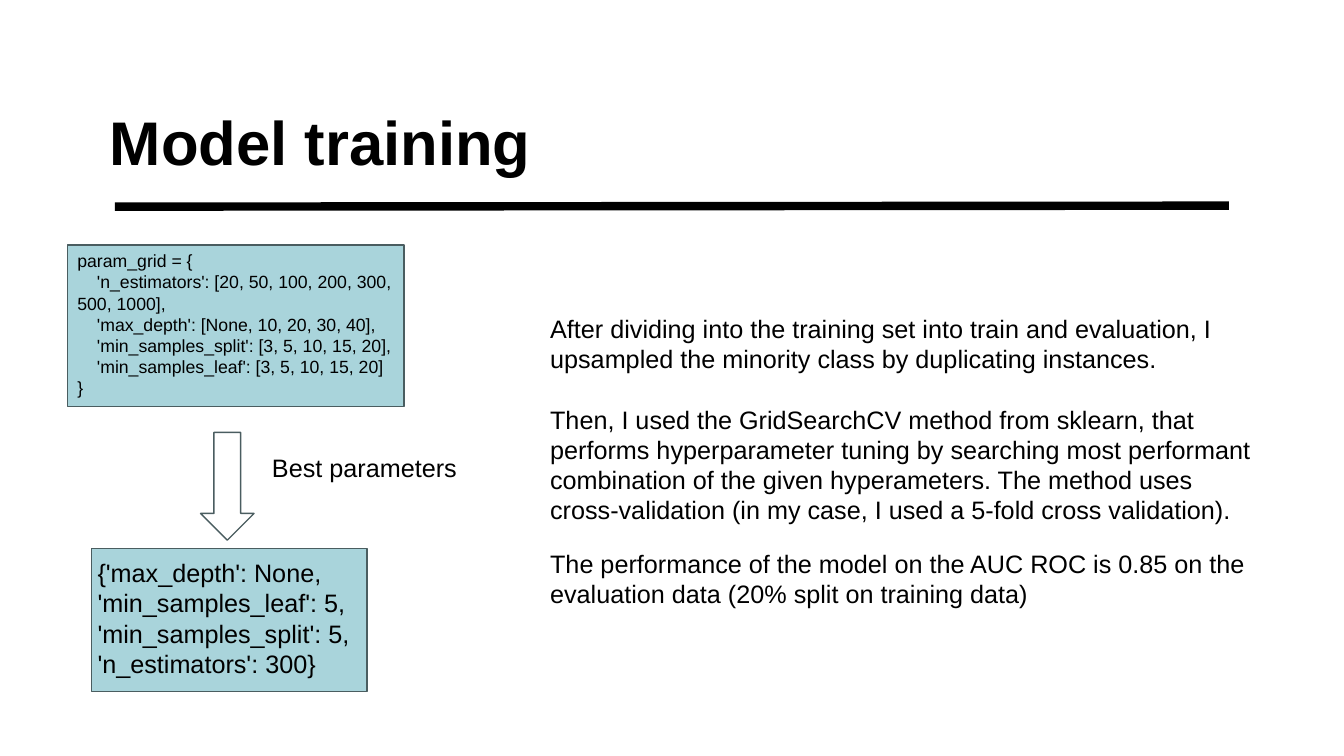
"""Build the model training slide with its parameter grid and best parameters."""
from dataclasses import dataclass

from lxml import etree
from pptx import Presentation
from pptx.dml.color import RGBColor
from pptx.enum.shapes import MSO_CONNECTOR as Connector, MSO_SHAPE as Shape
from pptx.enum.text import MSO_ANCHOR as Anchor, MSO_AUTO_SIZE as AutoSize
from pptx.oxml.ns import qn
from pptx.slide import Slide
from pptx.util import Pt

COLORS = {"ink": "000000", "panel": "A9D4DB", "outline": "4A5D60", "paper": "FFFFFF"}
FONT = "Arial"


@dataclass(frozen=True)
class Frame:
    left: float
    top: float
    width: float
    height: float

    def lengths(self) -> tuple[Pt, Pt, Pt, Pt]:
        return Pt(self.left), Pt(self.top), Pt(self.width), Pt(self.height)


@dataclass(frozen=True)
class Block:
    frame: Frame
    kind: Shape
    fill: str


@dataclass(frozen=True)
class Passage:
    frame: Frame
    paragraphs: tuple[str, ...]
    size: float = 18
    gap: float = 0


BLOCKS = (
    Block(Frame(65.5, 391.7, 196.6, 102.2), Shape.RECTANGLE, "panel"),
    Block(Frame(48.2, 175, 240.5, 115.2), Shape.RECTANGLE, "panel"),
    Block(Frame(143.3, 308.9, 38.2, 77), Shape.DOWN_ARROW, "paper"),
)

PASSAGES = (
    Passage(
        Frame(62.6, 394.6, 199.4, 94.3),
        ("{'max_depth': None, 'min_samples_leaf': 5, 'min_samples_split': 5, 'n_estimators': 300}",),
    ),
    Passage(
        Frame(48.2, 175, 240.5, 114.5),
        (
            "param_grid = {",
            "    'n_estimators': [20, 50, 100, 200, 300, 500, 1000],",
            "    'max_depth': [None, 10, 20, 30, 40],",
            "    'min_samples_split': [3, 5, 10, 15, 20],",
            "    'min_samples_leaf': [3, 5, 10, 15, 20]",
            "}",
        ),
        size=12.6,
    ),
    Passage(
        Frame(385.9, 220.3, 525.6, 159.8),
        (
            "After dividing into the training set into train and evaluation, I upsampled "
            "the minority class by duplicating instances.",
            "Then, I used the GridSearchCV method from sklearn, that performs hyperparameter "
            "tuning by searching most performant combination of the given hyperameters. The "
            "method uses cross-validation (in my case, I used a 5-fold cross validation).",
        ),
        gap=21.5,
    ),
    Passage(Frame(187.2, 319.7, 149.8, 28.8), ("Best parameters",)),
    Passage(
        Frame(385.9, 388.1, 525.6, 51.1),
        (
            "The performance of the model on the AUC ROC is 0.85 on the evaluation data "
            "(20% split on training data)",
        ),
    ),
)


def color(name: str) -> RGBColor:
    return RGBColor.from_string(COLORS[name])


def add_text(
    page: Slide,
    frame: Frame,
    paragraphs: tuple[str, ...],
    *,
    size: float = 18,
    bold: bool = False,
    gap: float = 0,
    spacing: float | None = None,
    anchor: Anchor = Anchor.TOP,
    inset: float | None = None,
    grow: bool = True,
) -> None:
    box = page.shapes.add_textbox(*frame.lengths())
    body = box.text_frame
    body.word_wrap = True
    body.auto_size = AutoSize.SHAPE_TO_FIT_TEXT if grow else AutoSize.NONE
    body.vertical_anchor = anchor
    if inset is not None:
        body.margin_left = body.margin_right = Pt(inset)
        body.margin_top = body.margin_bottom = Pt(inset)
    for index, text in enumerate(paragraphs):
        para = body.add_paragraph() if index else body.paragraphs[0]
        if index and gap:
            para.space_before = Pt(gap)
        if spacing is not None:
            para.line_spacing = spacing
        span = para.add_run()
        span.text = text
        span.font.name = FONT
        span.font.size = Pt(size)
        span.font.bold = bold
        span.font.color.rgb = color("ink")


def add_block(page: Slide, block: Block) -> None:
    shape = page.shapes.add_shape(block.kind, *block.frame.lengths())
    shape.shadow.inherit = False
    shape.fill.solid()
    shape.fill.fore_color.rgb = color(block.fill)
    shape.line.color.rgb = color("outline")
    shape.line.width = Pt(1)


def add_title_rule(page: Slide) -> None:
    rule = page.shapes.add_connector(
        Connector.STRAIGHT, Pt(82.1), Pt(147.6), Pt(877.7), Pt(146.9)
    )
    rule.line.color.rgb = color("ink")
    rule.line.width = Pt(6)
    etree.SubElement(rule._element.spPr, qn("a:effectLst"))


def main() -> None:
    deck = Presentation()
    deck.slide_width, deck.slide_height = Pt(960), Pt(540)
    page = deck.slides.add_slide(deck.slide_layouts[6])
    add_title_rule(page)
    add_text(
        page,
        Frame(78.5, 76.3, 614.9, 51.1),
        ("Model training",),
        size=44,
        bold=True,
        spacing=0.9,
        anchor=Anchor.BOTTOM,
        inset=0,
        grow=False,
    )
    for block in BLOCKS:
        add_block(page, block)
    for passage in PASSAGES:
        add_text(page, passage.frame, passage.paragraphs, size=passage.size, gap=passage.gap)
    deck.save("out.pptx")


if __name__ == "__main__":
    main()
